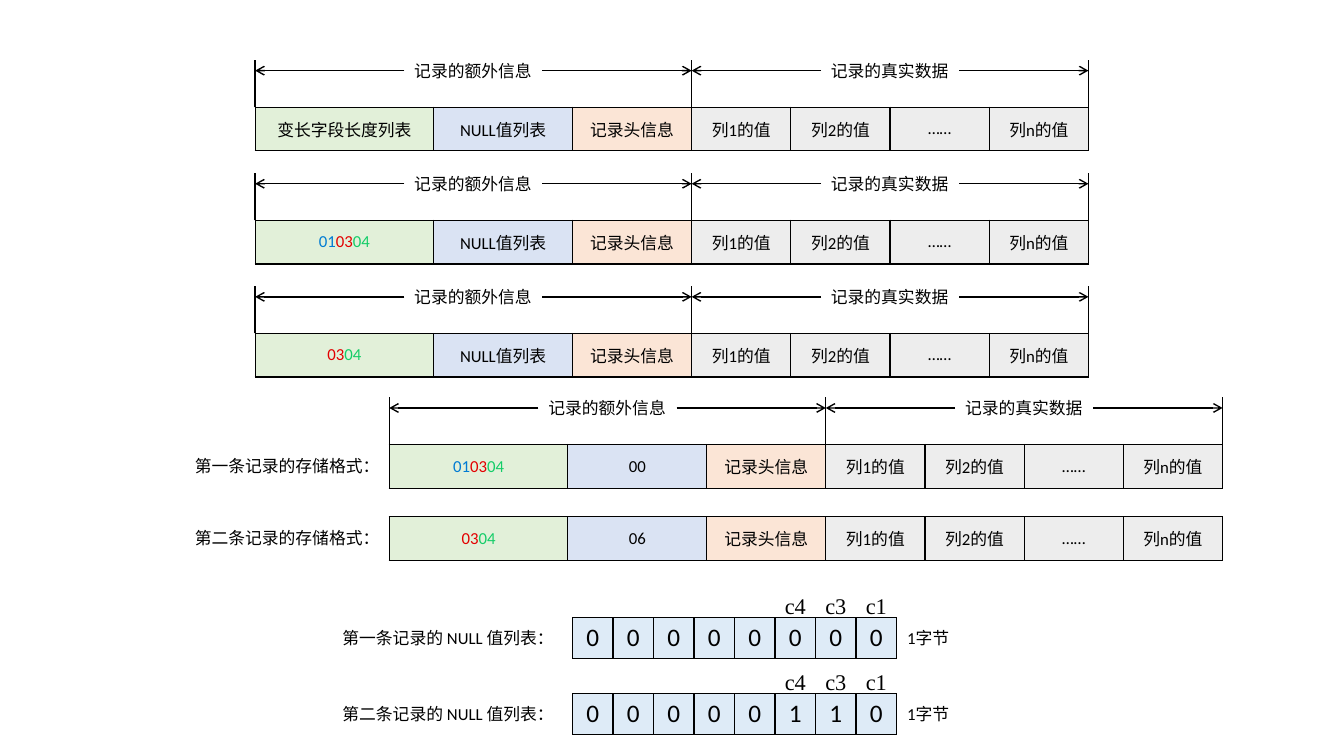
import pptx
import pptx.util
import pptx.dml.color
import pptx.enum.shapes
import pptx.enum.text
import pptx.oxml
import pptx.oxml.ns
from pptx.util import Cm

BLACK = "000000"
NS = pptx.oxml.ns.nsdecls("a")
CENTER = pptx.enum.text.PP_ALIGN.CENTER
LEFT = pptx.enum.text.PP_ALIGN.LEFT
MIDDLE = pptx.enum.text.MSO_ANCHOR.MIDDLE
GROW = pptx.enum.text.MSO_AUTO_SIZE.SHAPE_TO_FIT_TEXT

BODY = {"size": pptx.util.Pt(12), "name": "Calibri"}
BIT = {"size": pptx.util.Pt(18), "name": "Calibri"}
COLUMN_NAME = {"size": pptx.util.Pt(16), "name": "Times New Roman"}
CELL = {"margin_top": 0, "margin_bottom": 0, "vertical_anchor": MIDDLE}
PLAIN_TABLE = {"first_row": False, "horz_banding": False}

# Lengths in centimetres
FIELD_WIDTHS = [4.5, 3.5, 3, 2.5, 2.5, 2.5, 2.5]
FIELD_FILLS = ["E2F0D9", "DAE3F3", "FBE5D6"] + ["EDEDED"] * 4
EXTRA_WIDTH = sum(FIELD_WIDTHS[:3])
RECORD_WIDTH = sum(FIELD_WIDTHS)
RECORD_HEIGHT = 1.1
BIT_SIZE = 1.02

# Field lengths, each byte in its own colour
LENGTH_C1 = ("01", "007BD3")
LENGTH_C3 = ("03", "E30000")
LENGTH_C4 = ("04", "14CD68")
ALL_LENGTHS = [LENGTH_C1, LENGTH_C3, LENGTH_C4]
TWO_LENGTHS = [LENGTH_C3, LENGTH_C4]
NULL_LIST = "NULL值列表"


def rgb(hex_color):
    return pptx.dml.color.RGBColor.from_string(hex_color)


def apply(target, values):
    for name, value in values.items():
        setattr(target, name, value)


def write(frame, content, style, align=LEFT):
    """Content is a string or a list of (text, colour) runs."""
    runs = [(content, BLACK)] if isinstance(content, str) else content
    paragraph = frame.paragraphs[0]
    paragraph.alignment = align
    for text, color in runs:
        run = paragraph.add_run()
        run.text = text
        apply(run.font, style)
        run.font.color.rgb = rgb(color)


def add_label(slide, box, text, style=BODY, wrap=False):
    label = slide.shapes.add_textbox(*map(Cm, box))
    apply(label.text_frame, {"word_wrap": wrap, "auto_size": GROW})
    write(label.text_frame, text, style)


def add_line(slide, start, end, arrow=False):
    line = slide.shapes.add_connector(
        pptx.enum.shapes.MSO_CONNECTOR.STRAIGHT, *map(Cm, (*start, *end)))
    line.line.width = pptx.util.Pt(1)
    line.line.color.rgb = rgb(BLACK)
    if arrow:
        line.line._get_or_add_ln().append(
            pptx.oxml.parse_xml(f'<a:tailEnd {NS} type="arrow"/>'))
    line._element.spPr.append(pptx.oxml.parse_xml(f"<a:effectLst {NS}/>"))


def add_border(cell):
    properties = cell._tc.get_or_add_tcPr()
    for index, side in enumerate(("lnL", "lnR", "lnT", "lnB")):
        properties.insert(index, pptx.oxml.parse_xml(
            f'<a:{side} {NS} w="12700"><a:solidFill><a:srgbClr val="{BLACK}"/>'
            f"</a:solidFill></a:{side}>"))


def add_strip(slide, left, top, height, widths, fills, contents, style):
    """One-row table."""
    strip = slide.shapes.add_table(
        1, len(widths), *map(Cm, (left, top, sum(widths), height))).table
    apply(strip, PLAIN_TABLE)
    strip.rows[0].height = Cm(height)
    for i, (width, fill, content) in enumerate(zip(widths, fills, contents)):
        strip.columns[i].width = Cm(width)
        cell = strip.cell(0, i)
        apply(cell, CELL)
        cell.fill.solid()
        cell.fill.fore_color.rgb = rgb(fill)
        add_border(cell)
        write(cell.text_frame, content, style, CENTER)


def add_record(slide, left, top, lengths, nulls, caption=None):
    contents = [lengths, nulls, "记录头信息", "列1的值", "列2的值", "……", "列n的值"]
    add_strip(slide, left, top, RECORD_HEIGHT, FIELD_WIDTHS, FIELD_FILLS,
              contents, BODY)
    if caption:
        add_label(slide, (left - 5.15, top + 0.16, 5.15, 0.77), caption)


def add_brackets(slide, left, top):
    """Dimension lines over a record whose top left corner is given."""
    middle, right = left + EXTRA_WIDTH, left + RECORD_WIDTH
    for x in (left, middle, right):
        add_line(slide, (x, top), (x, top - 1.2))
    arrow_y, label_width = top - 0.92, 3.48
    for start, end, text in ((left, middle, "记录的额外信息"),
                             (middle, right, "记录的真实数据")):
        label_left = (start + end - label_width) / 2
        label_right = label_left + label_width
        add_label(slide, (label_left, top - 1.3, label_width, 0.77), text)
        add_line(slide, (label_left, arrow_y), (start, arrow_y), arrow=True)
        add_line(slide, (label_right, arrow_y), (end, arrow_y), arrow=True)


def add_null_bits(slide, left, top, bits, caption):
    add_strip(slide, left, top, BIT_SIZE, [BIT_SIZE] * 8, ["DEEBF7"] * 8,
              bits, BIT)
    add_label(slide, (left - 6.05, top + 0.12, 6.05, 0.77), caption)
    for i, name in enumerate(("c4", "c3", "c1"), start=5):
        add_label(slide, (left + i * BIT_SIZE, top - 0.78, 1.1, 0.94), name,
                  COLUMN_NAME)
    add_label(slide, (left + 8 * BIT_SIZE + 0.02, top + 0.12, 1.6, 0.77),
              "1字节", wrap=True)


deck = pptx.Presentation()
apply(deck, {"slide_width": Cm(33.87), "slide_height": Cm(19.05)})
slide = deck.slides.add_slide(deck.slide_layouts[6])

# Record layouts: general, then with the field lengths filled in
for i, lengths in enumerate(("变长字段长度列表", ALL_LENGTHS, TWO_LENGTHS)):
    top = 2.7 + i * 2.85
    add_record(slide, 6.43, top, lengths, NULL_LIST)
    add_brackets(slide, 6.43, top)

# Storage format of both records
add_brackets(slide, 9.81, 11.2)
add_record(slide, 9.81, 11.2, ALL_LENGTHS, "00", "第一条记录的存储格式：")
add_record(slide, 9.81, 13.02, TWO_LENGTHS, "06", "第二条记录的存储格式：")

# NULL bits of both records
add_null_bits(slide, 14.43, 15.57, "00000000", "第一条记录的 NULL 值列表：")
add_null_bits(slide, 14.43, 17.48, "00000110", "第二条记录的 NULL 值列表：")

deck.save("out.pptx")
